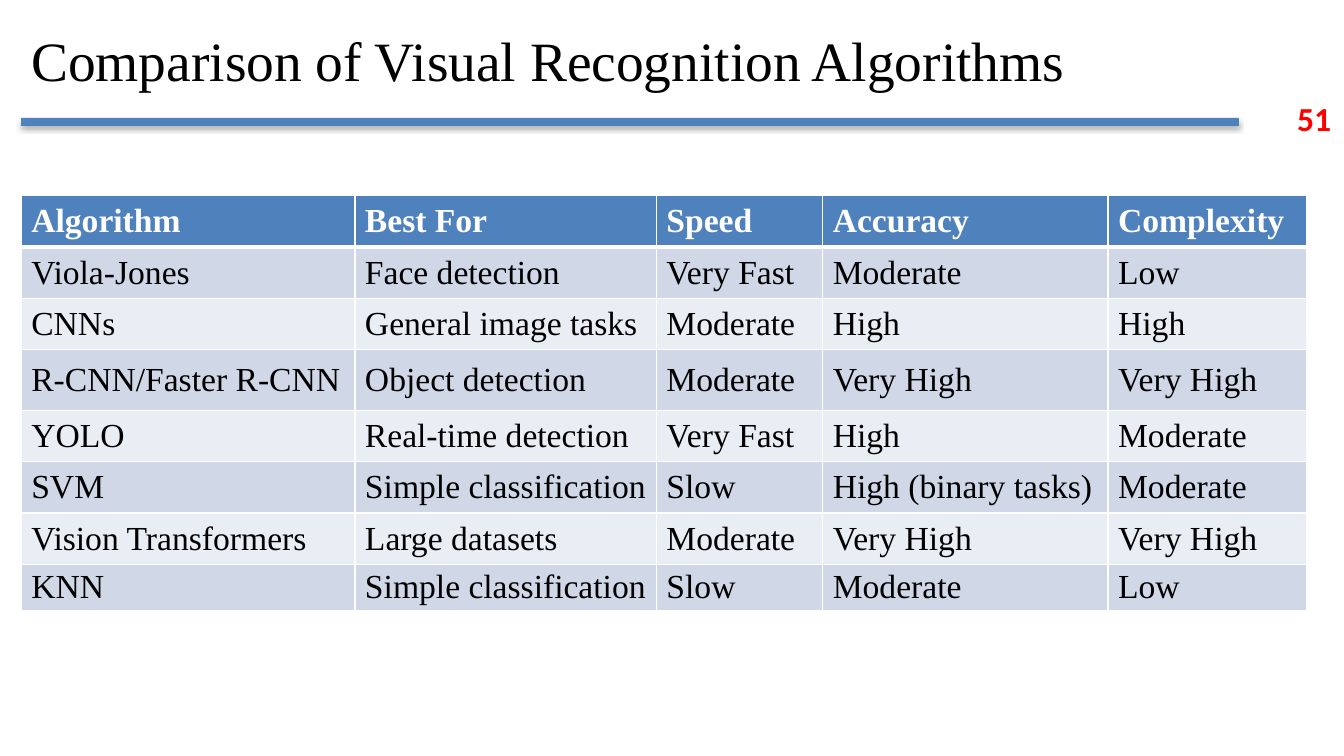
"""Build a slide comparing visual recognition algorithms in a table."""
from lxml.etree import SubElement
from pptx import Presentation
from pptx.dml.color import RGBColor
from pptx.enum.shapes import MSO_SHAPE
from pptx.enum.text import MSO_ANCHOR
from pptx.oxml import parse_xml
from pptx.oxml.ns import nsdecls, qn
from pptx.util import Inches, Pt

BLUE = RGBColor(0x4F, 0x81, 0xBD)
BAND_DARK = RGBColor(0xD0, 0xD8, 0xE8)
BAND_LIGHT = RGBColor(0xE9, 0xED, 0xF4)
WHITE = RGBColor(0xFF, 0xFF, 0xFF)
BLACK = RGBColor(0, 0, 0)
RED = RGBColor(0xFF, 0, 0)
SERIF = "Times New Roman"

LEFT = 1.58
COLUMN_SHARES = [24.83, 22.43, 12.38, 21.23, 14.78]
ROW_SHARES = [6.8, 6.8, 6.8, 8, 6.8, 6.8, 6.8, 6.13]
ROWS = [
    ["Algorithm", "Best For", "Speed", "Accuracy", "Complexity"],
    ["Viola-Jones", "Face detection", "Very Fast", "Moderate", "Low"],
    ["CNNs", "General image tasks", "Moderate", "High", "High"],
    ["R-CNN/Faster R-CNN", "Object detection", "Moderate", "Very High", "Very High"],
    ["YOLO", "Real-time detection", "Very Fast", "High", "Moderate"],
    ["SVM", "Simple classification", "Slow", "High (binary tasks)", "Moderate"],
    ["Vision Transformers", "Large datasets", "Moderate", "Very High", "Very High"],
    ["KNN", "Simple classification", "Slow", "Moderate", "Low"],
]

presentation = Presentation()
presentation.slide_width = Inches(13.33)
presentation.slide_height = Inches(7.5)
slide = presentation.slides.add_slide(presentation.slide_layouts[6])


def place(left, top, width, height):
    """Turn percentages of the slide's size into lengths."""
    across, down = presentation.slide_width / 100, presentation.slide_height / 100
    return [int(left * across), int(top * down), int(width * across), int(height * down)]


def write(frame, text, size, name, color, bold=False):
    """Set one styled paragraph in a text frame."""
    paragraph = frame.paragraphs[0]
    paragraph.text = text
    font = paragraph.font
    font.size, font.name, font.bold = Pt(size), name, bold
    font.color.rgb = color


rule = slide.shapes.add_shape(MSO_SHAPE.RECTANGLE, *place(LEFT, 15.6, 90.6, 1.07))
rule.fill.solid()
rule.fill.fore_color.rgb = BLUE
rule.line.fill.background()
rule.shadow.inherit = False
rule_effects = rule.element.spPr.find(qn("a:effectLst"))
rule_effects.append(parse_xml(
    f'<a:outerShdw {nsdecls("a")} blurRad="{Pt(3.5)}" dist="{Pt(2.2)}" dir="5400000" rotWithShape="0">'
    '<a:srgbClr val="000000"><a:alpha val="32000"/></a:srgbClr></a:outerShdw>'))

slide_number = slide.shapes.add_textbox(*place(95.78, 12.27, 4.43, 6.67))
slide_number.text_frame.word_wrap = False
write(slide_number.text_frame, "51", 24, "Calibri", RED, bold=True)

title = slide.shapes.add_textbox(*place(LEFT, 1.07, 82.05, 13.6))
title.text_frame.word_wrap = True
title.text_frame.vertical_anchor = MSO_ANCHOR.MIDDLE
write(title.text_frame, "Comparison of Visual Recognition Algorithms", 39.6, SERIF, BLACK)

table = slide.shapes.add_table(
    len(ROWS), len(COLUMN_SHARES),
    *place(LEFT, 25.87, sum(COLUMN_SHARES), sum(ROW_SHARES))).table
for column, share in zip(table.columns, COLUMN_SHARES):
    column.width = place(0, 0, share, 0)[2]
for row, share in zip(table.rows, ROW_SHARES):
    row.height = place(0, 0, 0, share)[3]

for row_index, texts in enumerate(ROWS):
    is_header = row_index == 0
    band = BLUE if is_header else BAND_DARK if row_index % 2 else BAND_LIGHT
    border_widths = {"lnL": 1, "lnR": 1, "lnT": 3 if row_index == 1 else 1,
                     "lnB": 3 if is_header else 1}
    for column_index, text in enumerate(texts):
        cell = table.cell(row_index, column_index)
        cell.vertical_anchor = MSO_ANCHOR.MIDDLE
        cell.margin_top = cell.margin_bottom = Inches(0.03)
        properties = cell._tc.get_or_add_tcPr()
        for side, width in border_widths.items():
            border = SubElement(properties, qn(f"a:{side}"), w=str(Pt(width)))
            border_fill = SubElement(border, qn("a:solidFill"))
            SubElement(border_fill, qn("a:srgbClr"), val=str(WHITE))
        cell.fill.solid()
        cell.fill.fore_color.rgb = band
        write(cell.text_frame, text, 24, SERIF, WHITE if is_header else BLACK, is_header)

presentation.save("out.pptx")
